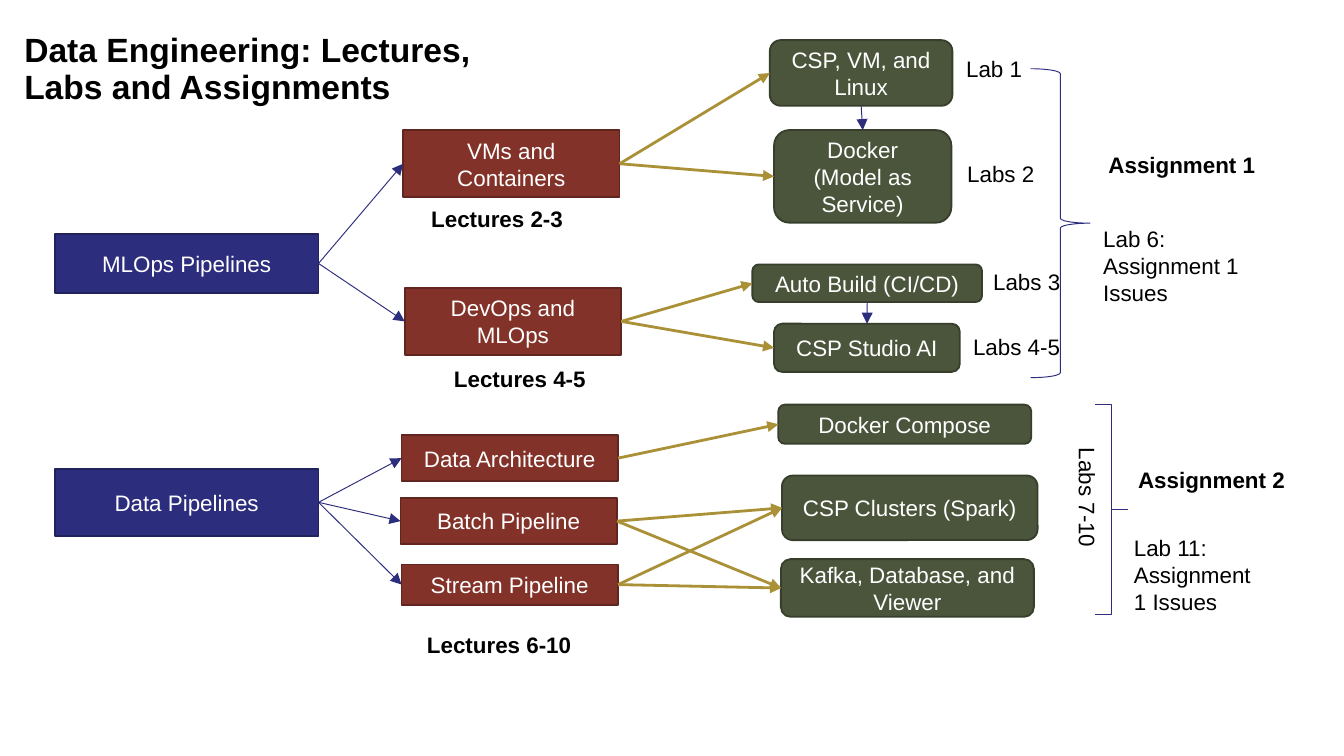
import pptx
import pptx.dml.color
import pptx.enum.shapes
import pptx.enum.text
import pptx.oxml.ns
import pptx.util
from lxml import etree

Cm = pptx.util.Cm
Pt = pptx.util.Pt
SHAPE = pptx.enum.shapes.MSO_SHAPE
ALIGN = pptx.enum.text.PP_ALIGN
qn = pptx.oxml.ns.qn

NAVY, NAVY_EDGE = "2D2D7D", "21215C"
BRICK, BRICK_EDGE = "823228", "60251E"
OLIVE, OLIVE_EDGE = "4B553C", "373F2C"
GOLD, WHITE, BLACK = "AA9137", "FFFFFF", "000000"
TOP, LEFT, BOTTOM, RIGHT = range(4)


def rgb(code):
    return pptx.dml.color.RGBColor.from_string(code)


class CourseMap:
    """Draws the elements of a course map on one slide in a shared style."""

    def __init__(self, slide):
        self.shapes = slide.shapes
        self.font_name = "Arial"
        self.size = 12

    def set_text(self, frame, text, color, bold=False, align=ALIGN.LEFT, size=None):
        paragraph = frame.paragraphs[0]
        paragraph.text = text
        paragraph.alignment = align
        font = paragraph.font
        font.name, font.size, font.bold = self.font_name, Pt(size or self.size), bold
        font.color.rgb = rgb(color)
        return paragraph

    def title(self, text, at):
        frame = self.shapes.add_textbox(*map(Cm, at)).text_frame
        frame.word_wrap = True
        frame.margin_left = frame.margin_right = frame.margin_top = frame.margin_bottom = 0
        self.set_text(frame, text, BLACK, bold=True, size=18).line_spacing = 0.9

    def box(self, text, at, fill, edge, kind=SHAPE.RECTANGLE):
        box = self.shapes.add_shape(kind, *map(Cm, at))
        box.shadow.inherit = False
        box.fill.solid()
        box.fill.fore_color.rgb = rgb(fill)
        box.line.color.rgb = rgb(edge)
        box.line.width = Pt(1)
        box.text_frame.word_wrap = True
        box.text_frame.vertical_anchor = pptx.enum.text.MSO_ANCHOR.MIDDLE
        self.set_text(box.text_frame, text, WHITE, align=ALIGN.CENTER)
        return box

    def label(self, text, at, bold=False, wrap=False, align=ALIGN.LEFT, rotation=0):
        label = self.shapes.add_textbox(*map(Cm, at))
        label.rotation = rotation
        label.text_frame.word_wrap = wrap
        self.set_text(label.text_frame, text, BLACK, bold, align)

    def arrow(self, start, end, color, width, sides=(RIGHT, LEFT)):
        arrow = self.shapes.add_connector(
            pptx.enum.shapes.MSO_CONNECTOR.STRAIGHT, 0, 0, 0, 0)
        arrow.begin_connect(start, sides[0])
        arrow.end_connect(end, sides[1])
        arrow.line.color.rgb = rgb(color)
        arrow.line.width = Pt(width)
        outline = arrow._element.spPr.find(qn("a:ln"))
        etree.SubElement(outline, qn("a:tailEnd"), type="triangle")
        etree.SubElement(arrow._element.spPr, qn("a:effectLst"))

    def brace(self, at, square=False):
        brace = self.shapes.add_shape(SHAPE.RIGHT_BRACE, *map(Cm, at))
        brace.shadow.inherit = False
        brace.fill.background()
        brace.line.color.rgb = rgb(NAVY)
        brace.line.width = Pt(0.5)
        if square:
            brace.adjustments[0] = 0


def main():
    deck = pptx.Presentation()
    deck.slide_width, deck.slide_height = Cm(25.4), Cm(14.29)
    course = CourseMap(deck.slides.add_slide(deck.slide_layouts[6]))

    course.title("Data Engineering: Lectures, Labs and Assignments", (0.46, 0.64, 9.98, 1.6))

    pipelines = {
        "mlops": ("MLOps Pipelines", (1.04, 4.42, 4.98, 1.12)),
        "data": ("Data Pipelines", (1.04, 8.86, 4.98, 1.27)),
    }
    topics = {
        "vms": ("VMs and Containers", (7.62, 2.46, 4.09, 1.27)),
        "devops": ("DevOps and MLOps", (7.65, 5.44, 4.09, 1.27)),
        "architecture": ("Data Architecture", (7.59, 8.23, 4.09, 0.86)),
        "batch": ("Batch Pipeline", (7.57, 9.42, 4.09, 0.86)),
        "stream": ("Stream Pipeline", (7.59, 10.67, 4.09, 0.76)),
    }
    tools = {
        "linux": ("CSP, VM, and Linux", (14.55, 0.76, 3.45, 1.24)),
        "docker": ("Docker (Model as Service)", (14.63, 2.46, 3.35, 1.75)),
        "build": ("Auto Build (CI/CD)", (14.22, 5, 4.34, 0.71)),
        "studio": ("CSP Studio AI", (14.63, 6.12, 3.51, 0.91)),
        "compose": ("Docker Compose", (14.71, 7.65, 4.78, 0.74)),
        "spark": ("CSP Clusters (Spark)", (14.78, 8.99, 4.83, 1.22)),
        "kafka": ("Kafka, Database, and Viewer", (14.76, 10.57, 4.78, 1.09)),
    }
    boxes = {}
    for group, fill, edge, kind in (
        (pipelines, NAVY, NAVY_EDGE, SHAPE.RECTANGLE),
        (topics, BRICK, BRICK_EDGE, SHAPE.RECTANGLE),
        (tools, OLIVE, OLIVE_EDGE, SHAPE.ROUNDED_RECTANGLE),
    ):
        for key, (text, at) in group.items():
            boxes[key] = course.box(text, at, fill, edge, kind)

    pipeline_topics = {"mlops": ("vms", "devops"), "data": ("architecture", "batch", "stream")}
    topic_tools = {
        "vms": ("linux", "docker"),
        "devops": ("build", "studio"),
        "architecture": ("compose",),
        "batch": ("spark", "kafka"),
        "stream": ("spark", "kafka"),
    }
    for links, color, width in ((pipeline_topics, NAVY, 0.5), (topic_tools, GOLD, 1.5)):
        for start, ends in links.items():
            for end in ends:
                course.arrow(boxes[start], boxes[end], color, width)
    for upper, lower in (("linux", "docker"), ("build", "studio")):
        course.arrow(boxes[upper], boxes[lower], NAVY, 0.5, (BOTTOM, TOP))

    course.brace((19.48, 1.3, 1.12, 5.84))
    course.brace((20.7, 7.65, 0.61, 3.96), square=True)

    course.label("Lab 1", (18.01, 0.91, 1.57, 0.76))
    course.label("Labs 2", (18.03, 2.9, 1.88, 0.76), wrap=True)
    course.label("Labs 3", (18.52, 4.95, 1.98, 0.76), wrap=True)
    course.label("Labs 4-5", (18.14, 6.17, 2.16, 0.76))
    course.label("Labs 7-10", (19.35, 9.04, 2.41, 0.76), rotation=90)
    course.label("Lab 6: Assignment 1 Issues", (20.6, 4.14, 3.71, 1.8), wrap=True)
    course.label("Lab 11: Assignment 1 Issues", (21.18, 9.98, 2.74, 1.8), wrap=True)
    course.label("Assignment 1", (20.7, 2.74, 3.3, 0.76), bold=True)
    course.label("Assignment 2", (21.26, 8.69, 3.3, 0.76), bold=True)
    course.label("Lectures 2-3", (7.9, 3.76, 3.02, 0.76), bold=True)
    course.label("Lectures 4-5", (8.33, 6.78, 3.02, 0.76), bold=True)
    course.label("Lectures 6-10", (7.62, 11.81, 3.63, 0.76), bold=True, wrap=True, align=ALIGN.CENTER)

    deck.save("out.pptx")


if __name__ == "__main__":
    main()
